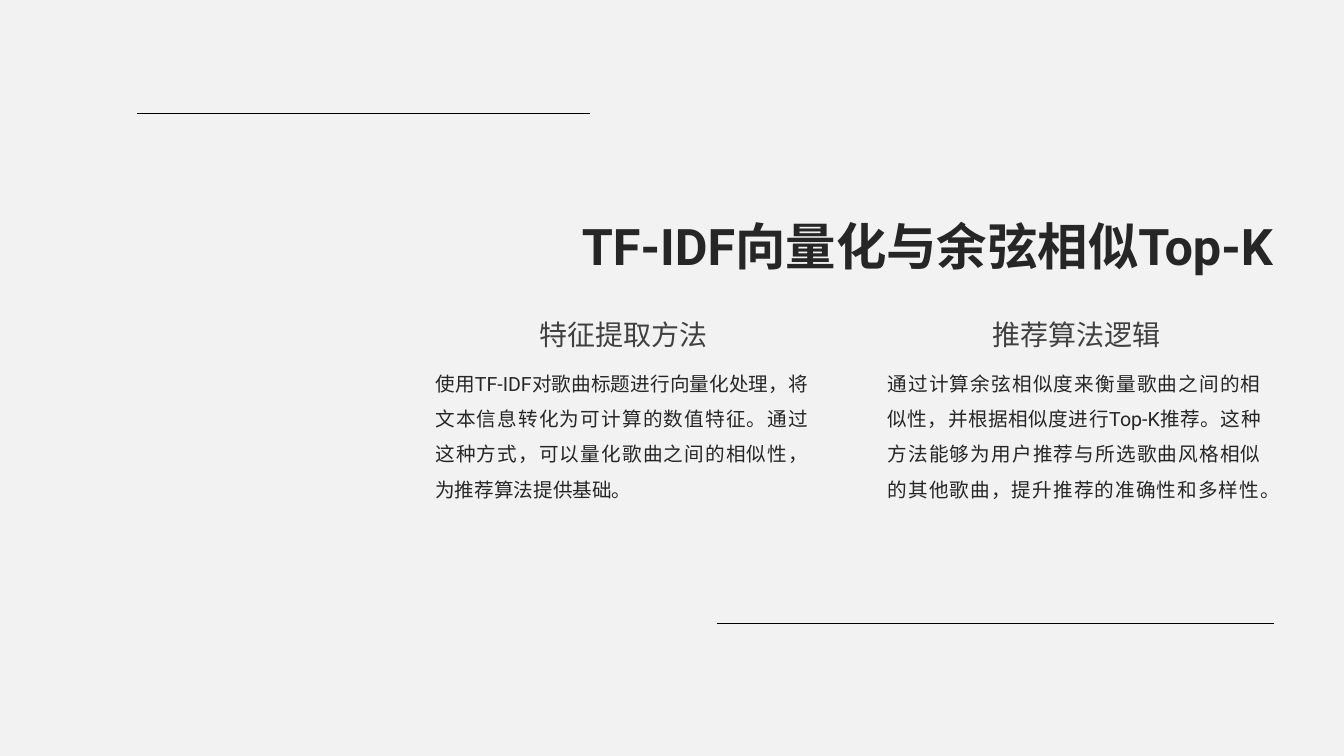
"""Build a slide on TF-IDF vectorisation and cosine similarity Top-K."""
from dataclasses import dataclass

from lxml import etree
from pptx import Presentation
from pptx import util as u
from pptx.dml.color import RGBColor
from pptx.enum import lang, shapes, text
from pptx.oxml import ns
from pptx.slide import Slide

FONT = "Roboto"
INK = "262626"
COLUMN_LEFT = 10.57
COLUMN_STEP = 11.4
COLUMN_WIDTH = 10.31
BODY_INDENT = 0.4


@dataclass(frozen=True)
class Topic:
    heading: str
    body: str


@dataclass(frozen=True)
class Rule:
    start: float
    end: float
    y: float


TOPICS = [
    Topic(
        "特征提取方法",
        "使用TF-IDF对歌曲标题进行向量化处理，将文本信息转化为可计算的数值特征。"
        "通过这种方式，可以量化歌曲之间的相似性，为推荐算法提供基础。",
    ),
    Topic(
        "推荐算法逻辑",
        "通过计算余弦相似度来衡量歌曲之间的相似性，并根据相似度进行Top-K推荐。"
        "这种方法能够为用户推荐与所选歌曲风格相似的其他歌曲，提升推荐的准确性和多样性。",
    ),
]
RULES = [Rule(14.86, 3.45, 2.84), Rule(32.11, 18.08, 15.7)]


def color(value: str) -> RGBColor:
    return RGBColor.from_string(value)


def add_text(slide: Slide, content: str, left: float, top: float, width: float,
             height: float, *, size: float, align: text.PP_ALIGN,
             fill: str = INK, bold: bool = False, spacing: float = 1.0,
             anchor: text.MSO_ANCHOR = text.MSO_ANCHOR.TOP) -> None:
    box = slide.shapes.add_textbox(u.Cm(left), u.Cm(top), u.Cm(width), u.Cm(height))
    frame = box.text_frame
    frame.word_wrap = True
    frame.vertical_anchor = anchor
    frame.margin_left = frame.margin_top = frame.margin_right = frame.margin_bottom = 0
    paragraph = frame.paragraphs[0]
    paragraph.alignment = align
    paragraph.line_spacing = spacing
    run = paragraph.add_run()
    run.text = content
    font = run.font
    font.size = u.Pt(size)
    font.bold = bold
    font.color.rgb = color(fill)
    font.name = FONT
    font.language_id = lang.MSO_LANGUAGE_ID.SIMPLIFIED_CHINESE
    etree.SubElement(run._r.get_or_add_rPr(), ns.qn("a:ea"), typeface=FONT)


def add_rule(slide: Slide, rule: Rule) -> None:
    line = slide.shapes.add_connector(
        shapes.MSO_CONNECTOR.STRAIGHT,
        u.Cm(rule.start), u.Cm(rule.y), u.Cm(rule.end), u.Cm(rule.y))
    line.line.color.rgb = color("000000")
    line.line.width = u.Pt(0.25)
    etree.SubElement(line._element.spPr, ns.qn("a:effectLst"))


def add_topic(slide: Slide, topic: Topic, left: float) -> None:
    add_text(slide, topic.heading, left, 7.26, COLUMN_WIDTH, 2.31, size=20,
             fill="404040", align=text.PP_ALIGN.CENTER,
             anchor=text.MSO_ANCHOR.MIDDLE)
    add_text(slide, topic.body, left + BODY_INDENT, 9.07, 9.4, 7.49, size=14,
             align=text.PP_ALIGN.JUSTIFY, spacing=1.5)


def main() -> None:
    deck = Presentation()
    deck.slide_width, deck.slide_height = u.Cm(33.87), u.Cm(19.05)
    slide = deck.slides.add_slide(deck.slide_layouts[6])
    background = slide.background.fill
    background.solid()
    background.fore_color.rgb = color("F2F2F2")

    add_text(slide, "TF-IDF向量化与余弦相似Top-K", 10.01, 4.67, 22.07, 2.31,
             size=36, bold=True, align=text.PP_ALIGN.RIGHT, spacing=1.5)
    for rule in RULES:
        add_rule(slide, rule)
    for index, topic in enumerate(TOPICS):
        add_topic(slide, topic, COLUMN_LEFT + index * COLUMN_STEP)
    deck.save("out.pptx")


if __name__ == "__main__":
    main()
